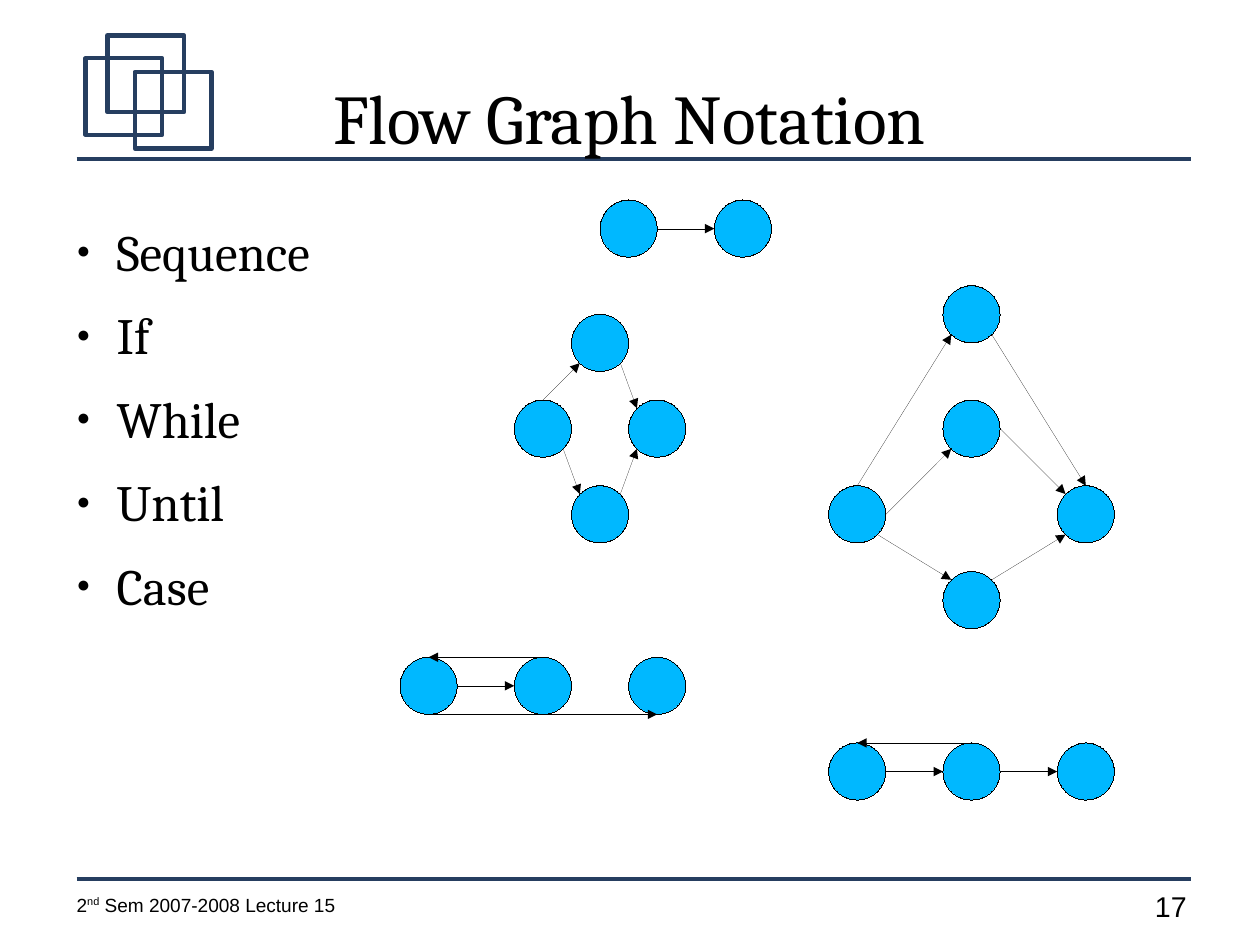
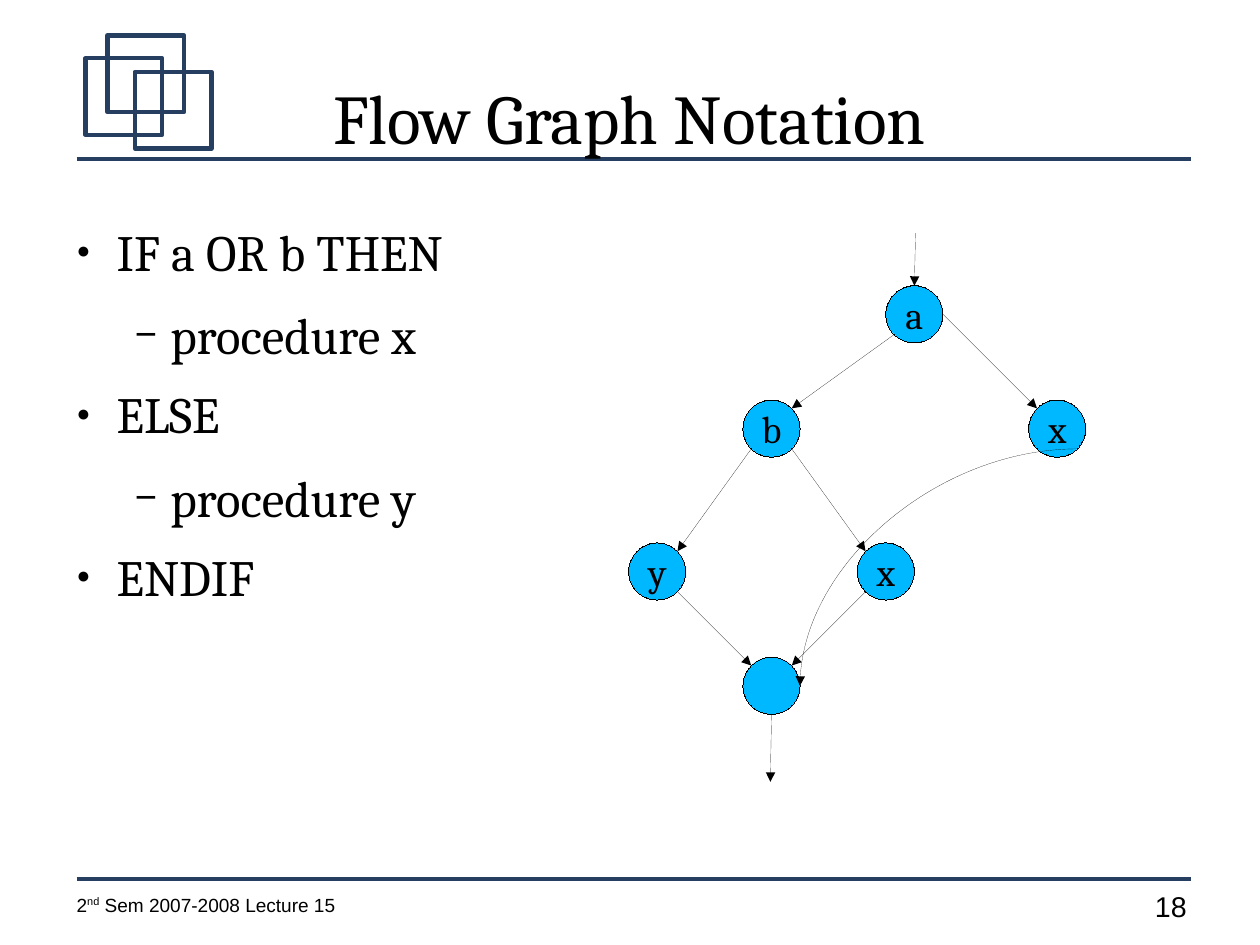
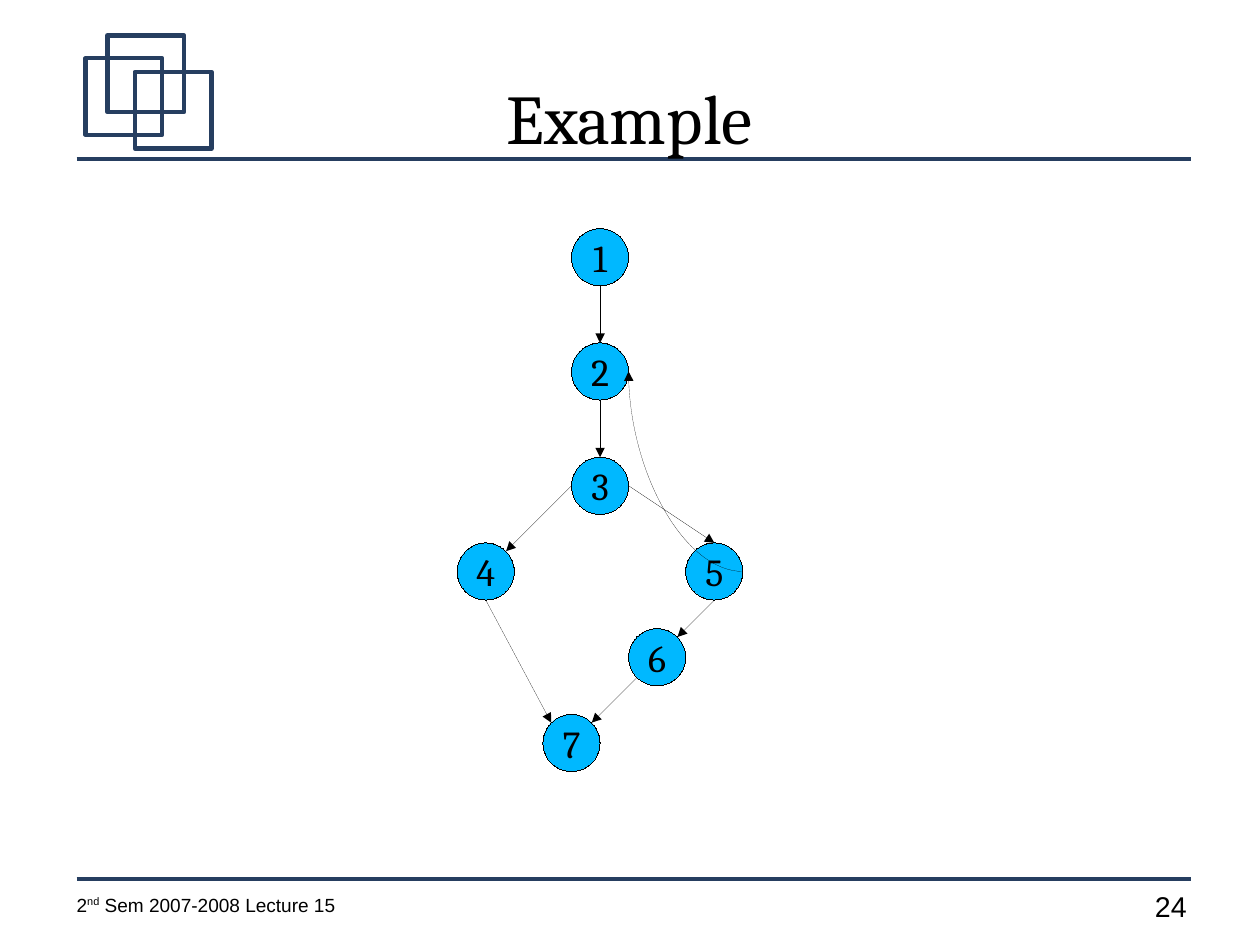
from pptx import Presentation
from pptx.util import Cm, Inches, Pt
from pptx.dml.color import RGBColor
from pptx.enum.shapes import MSO_SHAPE as Shape, MSO_CONNECTOR as Wire
from pptx.enum.text import PP_ALIGN as Align, MSO_ANCHOR as Anchor
from pptx.oxml.ns import qn
from lxml.etree import SubElement as sub

# Shared look
NAVY, BLUE, BLACK = "263E60", "00B8FF", "000000"
SERIF, SANS = "Cambria", "Arial"
CELL = 0.25                     # side of a grid cell, in inches
LEFT, RIGHT = 2.68, 41.68       # ends of the rules, in cells
RULE = 2.83                     # width of rules and squares, in points

# Per level: left margin, hanging indent, space after, bullet, bullet size
LEVELS = [(0.47, -0.35, 14.2, "●", 45), (0.94, -0.31, 11.3, "−", 75)]

# Points on the rim of a node, as shares of its radius
DIAG = 0.71
RIM = {"n": (0, -1), "s": (0, 1), "e": (1, 0), "w": (-1, 0),
       "ne": (DIAG, -DIAG), "nw": (-DIAG, -DIAG),
       "se": (DIAG, DIAG), "sw": (-DIAG, DIAG)}


def rgb(code):
    return RGBColor.from_string(code)


def grid(*cells):
    return [Inches(n * CELL) for n in cells]


# Text
def style(para, size, face=SERIF):
    font = para.font
    font.size, font.name = Pt(size), face
    font.color.rgb = rgb(BLACK)


def clear(frame, anchor=Anchor.TOP):
    frame.margin_left = frame.margin_right = 0
    frame.margin_top = frame.margin_bottom = 0
    frame.vertical_anchor = anchor


def box(slide, *cells, anchor=Anchor.TOP):
    frame = slide.shapes.add_textbox(*grid(*cells)).text_frame
    frame.word_wrap = True
    clear(frame, anchor)
    return frame


def bullet(para, level):
    margin, indent, after, mark, size = LEVELS[level]
    para.level = level
    para.space_after = Pt(after)
    props = para._p.get_or_add_pPr()
    props.set("marL", str(Inches(margin)))
    props.set("indent", str(Inches(indent)))
    tint = sub(props, qn("a:buClr"))
    sub(tint, qn("a:srgbClr"), val=BLACK)
    sub(props, qn("a:buSzPct"), val=str(size * 1000))
    sub(props, qn("a:buFont"), typeface=SANS)
    sub(props, qn("a:buChar"), char=mark)


def body(slide, items):
    frame = box(slide, 2.2, 7.72, 39.68, 21.84)
    for i, (level, text) in enumerate(items):
        para = frame.add_paragraph() if i else frame.paragraphs[0]
        para.text = text
        bullet(para, level)
        style(para, 32)


# Lines and shapes
def stroke(shape, color, width):
    shape.line.color.rgb = rgb(color)
    # A hairline needs its zero width written out
    shape.line._get_or_add_ln().set("w", str(Pt(width)))


def line(slide, start, end, color=BLACK, width=0, kind=Wire.STRAIGHT):
    wire = slide.shapes.add_connector(kind, *grid(*start, *end))
    stroke(wire, color, width)
    sub(wire._element.spPr, qn("a:effectLst"))
    return wire


def arrow(slide, start, end, curved=False):
    wire = line(slide, start, end, kind=Wire.CURVE if curved else Wire.STRAIGHT)
    props = wire._element.spPr
    if curved:                  # a single quarter bend
        props.find(qn("a:prstGeom")).set("prst", "curvedConnector2")
    sub(props.find(qn("a:ln")), qn("a:tailEnd"), type="triangle")


def square(slide, x, y):
    shape = slide.shapes.add_shape(Shape.RECTANGLE, *grid(x, y, 2.68, 2.68))
    shape.shadow.inherit = False
    shape.fill.background()
    stroke(shape, NAVY, RULE)


def node(slide, x, y, label=""):
    shape = slide.shapes.add_shape(Shape.OVAL, *grid(x - 1, y - 1, 2, 2))
    shape.shadow.inherit = False
    shape.fill.solid()
    shape.fill.fore_color.rgb = rgb(BLUE)
    stroke(shape, BLACK, 0)
    if label:
        frame = shape.text_frame
        clear(frame, Anchor.MIDDLE)
        para = frame.paragraphs[0]
        para.text, para.alignment = label, Align.CENTER
        style(para, 24)


def graph(slide, nodes, links):
    """Nodes map a key to centre and label; a link reads 'key.side key.side'."""
    for spot in nodes.values():
        node(slide, *spot)

    def rim(end):
        key, side = end.split(".")
        return [c + d for c, d in zip(nodes[key][:2], RIM[side])]

    for link in links:
        start, end, *bend = link.split()
        arrow(slide, rim(start), rim(end), bool(bend))


# Frame of every slide
def page(deck, title, number):
    slide = deck.slides.add_slide(deck.slide_layouts[6])
    for y in (30.76, 5.56):
        line(slide, (LEFT, y), (RIGHT, y), NAVY, RULE)

    foot = box(slide, LEFT, 31.26, 11.28, 1.08).paragraphs[0]
    for text in ("2", "nd", " Sem 2007-2008 Lecture 15"):
        run = foot.add_run()
        run.text = text
        if text == "nd":
            run._r.get_or_add_rPr().set("baseline", "33000")
    style(foot, 12, SANS)

    count = box(slide, 40.42, 31.12, 1.6, 1.36).paragraphs[0]
    count.text = str(number)
    style(count, 18, SANS)

    for spot in ((3, 2.04), (3.76, 1.24), (4.72, 2.52)):
        square(slide, *spot)

    head = box(slide, 2.2, 1.32, 39.68, 5.52, anchor=Anchor.MIDDLE).paragraphs[0]
    head.text, head.alignment = title, Align.CENTER
    style(head, 44)
    return slide


# Slides
def basics(deck):
    slide = page(deck, "Flow Graph Notation", 17)
    body(slide, [(0, t) for t in ("Sequence", "If", "While", "Until", "Case")])
    # Sequence
    graph(slide, {"a": (22, 8), "b": (26, 8)}, ["a.e b.w"])
    # If
    graph(slide,
          {"top": (21, 12), "out": (23, 15), "in": (19, 15), "low": (21, 18)},
          ["top.se out.nw", "in.n top.sw", "in.se low.nw", "low.ne out.sw"])
    # While and until: three nodes in a row, with one link back
    for x, y, leave in ((15, 24, "a.s c.s"), (30, 27, "b.e c.w")):
        trio = {key: (x + 4 * i, y) for i, key in enumerate("abc")}
        graph(slide, trio, ["b.n a.n", "a.e b.w", leave])
    # Case
    graph(slide,
          {"top": (34, 11), "in": (30, 18), "out": (38, 18),
           "low": (34, 21), "mid": (34, 15)},
          ["in.n top.sw", "in.e mid.sw", "in.se low.nw",
           "low.ne out.sw", "top.se out.n", "mid.e out.nw"])


def branch(deck):
    slide = page(deck, "Flow Graph Notation", 18)
    body(slide, [(0, "IF a OR b THEN"), (1, "procedure x"), (0, "ELSE"),
                 (1, "procedure y"), (0, "ENDIF")])
    graph(slide,
          {"a": (32, 11, "a"), "b": (27, 15, "b"), "x1": (37, 15, "x"),
           "x2": (31, 20, "x"), "end": (27, 24), "y": (23, 20, "y")},
          ["a.sw b.ne", "a.e x1.nw", "b.se x2.nw", "b.sw y.ne",
           "y.se end.nw", "x2.sw end.ne", "x1.se end.e curved"])
    # Entry and exit
    arrow(slide, (32.04, 8.16), (32, 10))
    arrow(slide, (27, 25), (26.96, 27.36))


def sample(deck):
    slide = page(deck, "Example", 24)
    spots = [(21, 9), (21, 13), (21, 17), (17, 20), (25, 20), (23, 23), (20, 26)]
    graph(slide,
          {str(i): (x, y, str(i)) for i, (x, y) in enumerate(spots, 1)},
          ["1.s 2.n", "2.s 3.n", "3.w 4.ne", "5.s 6.ne",
           "5.e 2.e curved", "3.e 5.n", "4.s 7.nw", "6.sw 7.ne"])


def main():
    deck = Presentation()
    deck.slide_width, deck.slide_height = Cm(28), Cm(21)
    for build in (basics, branch, sample):
        build(deck)
    deck.save("out.pptx")


if __name__ == "__main__":
    main()
